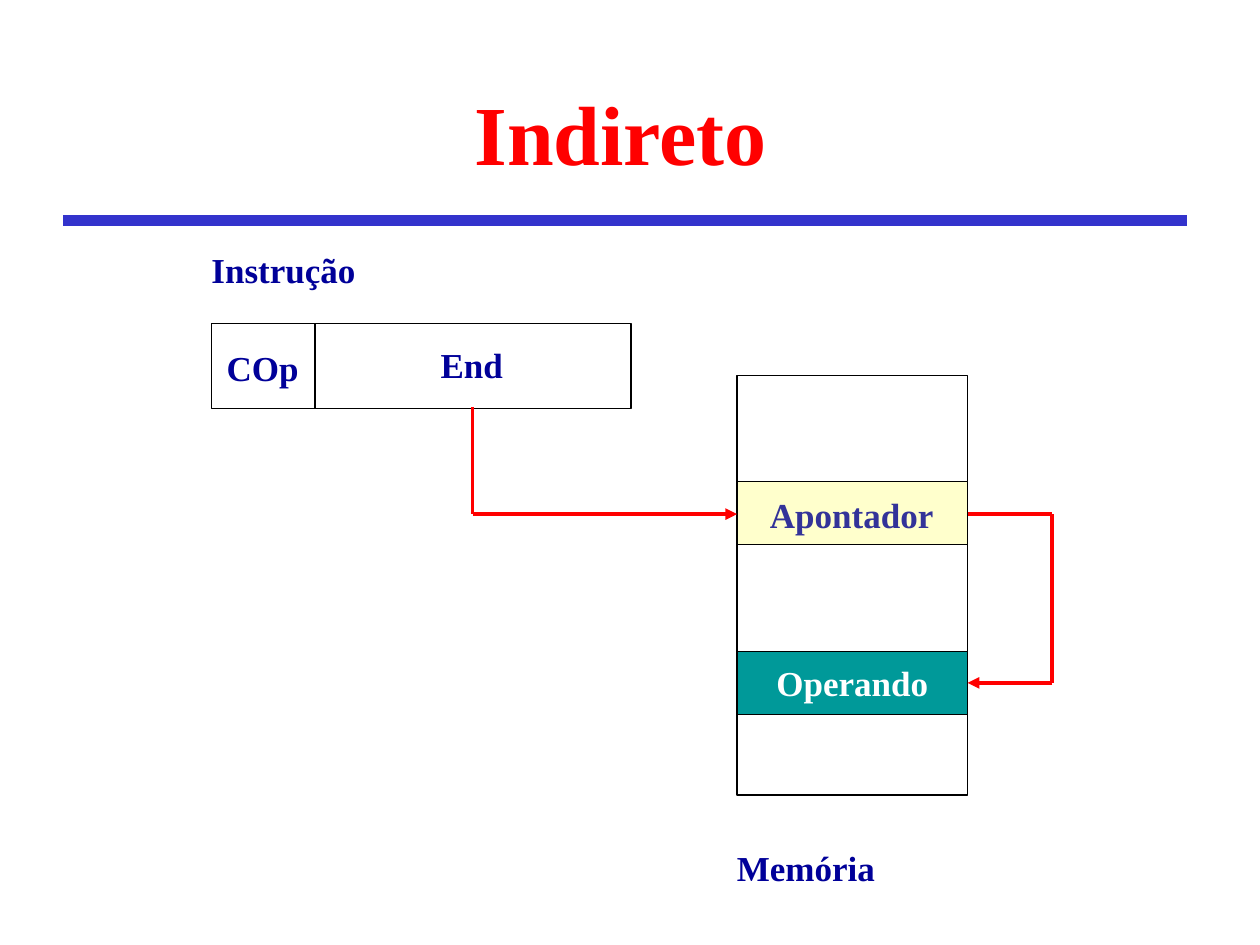
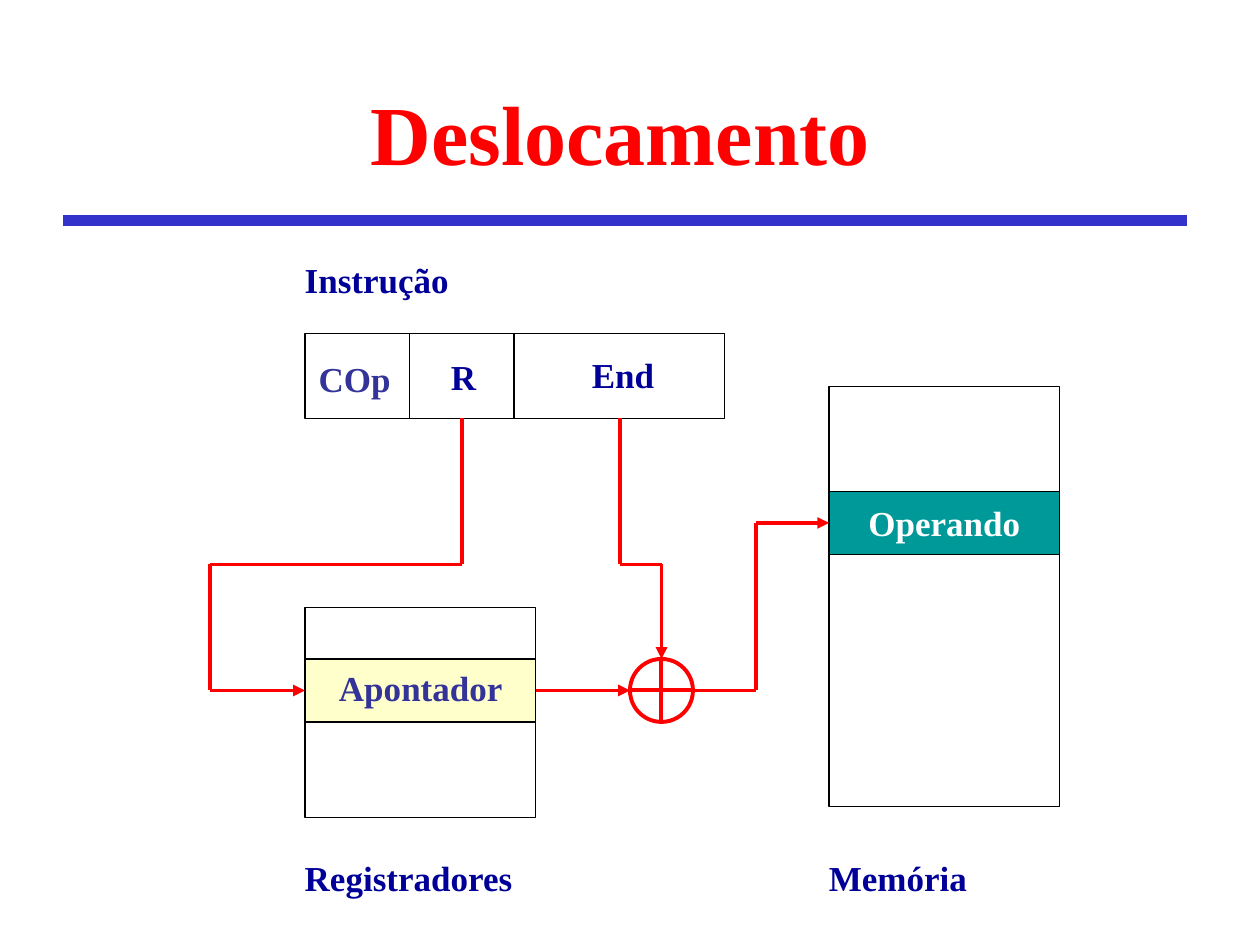
from dataclasses import dataclass
from itertools import pairwise

from lxml.etree import SubElement
from pptx import Presentation
from pptx.dml.color import RGBColor
from pptx.enum.shapes import MSO_CONNECTOR as Connector, MSO_SHAPE as Shape
from pptx.enum.text import MSO_ANCHOR as Anchor, MSO_AUTO_SIZE as AutoSize, PP_ALIGN as Align
from pptx.oxml.ns import qn
from pptx.util import Inches, Pt

Point = tuple[float, float]


@dataclass(frozen=True)
class Theme:
    font: str = "Times New Roman"
    title_size: float = 48
    text_size: float = 20
    outline: float = 0.75
    arrow: float = 2.25
    band_width: float = 6
    red: str = "FF0000"
    band: str = "3333CC"
    navy: str = "000099"
    indigo: str = "333399"
    black: str = "000000"
    white: str = "FFFFFF"
    cream: str = "FFFFCC"
    teal: str = "009999"


THEME = Theme()
CELL_W, CELL_H = 1.83, 0.5
FIELDS_W, FIELDS_H = 3.33, 0.67
MEMORY_H = 3.33
LABEL_H = 0.44


@dataclass(frozen=True)
class Box:
    left: float
    top: float
    width: float = CELL_W
    height: float = CELL_H
    fill: str = THEME.white
    text: str = ""
    kind: Shape = Shape.RECTANGLE
    line: str = THEME.black
    line_width: float = THEME.outline


@dataclass(frozen=True)
class Label:
    text: str
    left: float
    top: float
    width: float
    align: Align = Align.CENTER
    color: str = THEME.navy


@dataclass(frozen=True)
class Route:
    """Straight segments through the points, with an optional arrowhead at the end."""
    points: tuple[Point, ...]
    arrow: bool = True
    color: str = THEME.red
    width: float = THEME.arrow


@dataclass(frozen=True)
class Diagram:
    title: str
    boxes: tuple[Box, ...]
    routes: tuple[Route, ...]
    labels: tuple[Label, ...]


def caption(text: str, left: float, top: float, width: float) -> Label:
    return Label(text, left, top, width, Align.LEFT)


def divider(x: float, top: float) -> Route:
    """Thin line between two instruction fields."""
    return Route(((x, top), (x, top + FIELDS_H)), False, THEME.black, THEME.outline)


DIAGRAMS = (
    Diagram(
        "Indireto",
        boxes=(
            Box(1.68, 2.57, FIELDS_W, FIELDS_H),
            Box(5.85, 2.98, height=MEMORY_H),
            Box(5.85, 3.82, fill=THEME.cream),
            Box(5.85, 5.17, fill=THEME.teal, text="Operando"),
        ),
        routes=(
            divider(2.5, 2.57),
            Route(((3.75, 3.23), (3.75, 4.08), (5.85, 4.08))),
            Route(((7.68, 4.08), (8.35, 4.08), (8.35, 5.42), (7.68, 5.42))),
        ),
        labels=(
            caption("Instrução", 1.58, 1.92, 1.38),
            Label("COp", 1.7, 2.7, 0.77),
            Label("End", 3.38, 2.68, 0.73),
            Label("Apontador", 6.01, 3.87, 1.5, color=THEME.indigo),
            caption("Memória", 5.75, 6.67, 1.33),
        ),
    ),
    Diagram(
        "Deslocamento",
        boxes=(
            Box(2.42, 2.65, FIELDS_W, FIELDS_H),
            Box(2.42, 4.82, height=1.67),
            Box(2.42, 5.23, fill=THEME.cream),
            Box(6.58, 3.07, height=MEMORY_H),
            Box(6.58, 3.9, fill=THEME.teal, text="Operando"),
            Box(5, 5.23, 0.5, 0.5, kind=Shape.FLOWCHART_OR,
                line=THEME.red, line_width=THEME.arrow),
        ),
        routes=(
            divider(3.25, 2.65),
            divider(4.08, 2.65),
            Route(((3.67, 3.32), (3.67, 4.48), (1.67, 4.48), (1.67, 5.48), (2.42, 5.48))),
            Route(((4.25, 5.48), (5, 5.48))),
            Route(((4.92, 3.32), (4.92, 4.48), (5.25, 4.48), (5.25, 5.23))),
            Route(((5.5, 5.48), (6, 5.48), (6, 4.15), (6.58, 4.15))),
        ),
        labels=(
            caption("Instrução", 2.32, 2, 1.38),
            Label("COp", 2.43, 2.79, 0.77, color=THEME.indigo),
            Label("R", 3.48, 2.77, 0.4),
            Label("End", 4.58, 2.76, 0.73),
            Label("Apontador", 2.59, 5.24, 1.5, color=THEME.indigo),
            caption("Registradores", 2.32, 6.75, 1.87),
            caption("Memória", 6.48, 6.75, 1.33),
        ),
    ),
)


def rgb(color: str) -> RGBColor:
    return RGBColor.from_string(color)


def write(tf, text: str, color: str, size: float = THEME.text_size,
          align: Align = Align.CENTER) -> None:
    p = tf.paragraphs[0]
    p.text, p.alignment = text, align
    font = p.font
    font.name, font.size, font.bold = THEME.font, Pt(size), True
    font.color.rgb = rgb(color)


def add_title(slide, text: str) -> None:
    sp = slide.shapes.title
    sp.left, sp.top, sp.width, sp.height = map(Inches, (0.44, 0.25, 8.97, 1.25))
    tf = sp.text_frame
    tf.vertical_anchor, tf.auto_size = Anchor.BOTTOM, AutoSize.NONE
    write(tf, text, THEME.red, THEME.title_size)


def add_box(slide, box: Box) -> None:
    sp = slide.shapes.add_shape(
        box.kind, *map(Inches, (box.left, box.top, box.width, box.height)))
    sp.shadow.inherit = False
    sp.fill.solid()
    sp.fill.fore_color.rgb = rgb(box.fill)
    sp.line.color.rgb = rgb(box.line)
    sp.line.width = Pt(box.line_width)
    if box.text:
        tf = sp.text_frame
        tf.word_wrap, tf.vertical_anchor = False, Anchor.MIDDLE
        write(tf, box.text, THEME.white)


def add_route(slide, route: Route) -> None:
    for start, end in pairwise(route.points):
        sp = slide.shapes.add_connector(Connector.STRAIGHT, *map(Inches, start + end))
        sp.line.color.rgb = rgb(route.color)
        sp.line.width = Pt(route.width)
        props = sp._element.spPr
        if route.arrow and end == route.points[-1]:
            SubElement(props.find(qn("a:ln")), qn("a:tailEnd"), type="triangle")
        SubElement(props, qn("a:effectLst"))


def add_label(slide, label: Label) -> None:
    sp = slide.shapes.add_textbox(
        *map(Inches, (label.left, label.top, label.width, LABEL_H)))
    tf = sp.text_frame
    tf.word_wrap, tf.auto_size = False, AutoSize.SHAPE_TO_FIT_TEXT
    write(tf, label.text, label.color, align=label.align)


def add_diagram(prs, diagram: Diagram) -> None:
    slide = prs.slides.add_slide(prs.slide_layouts.get_by_name("Title Only"))
    add_route(slide, Route(((0.5, 1.75), (9.42, 1.75)), False, THEME.band, THEME.band_width))
    add_title(slide, diagram.title)
    for box in diagram.boxes:
        add_box(slide, box)
    for route in diagram.routes:
        add_route(slide, route)
    for label in diagram.labels:
        add_label(slide, label)


def main() -> None:
    prs = Presentation()
    prs.slide_width, prs.slide_height = Inches(10), Inches(7.5)
    for diagram in DIAGRAMS:
        add_diagram(prs, diagram)
    prs.save("out.pptx")


if __name__ == "__main__":
    main()
